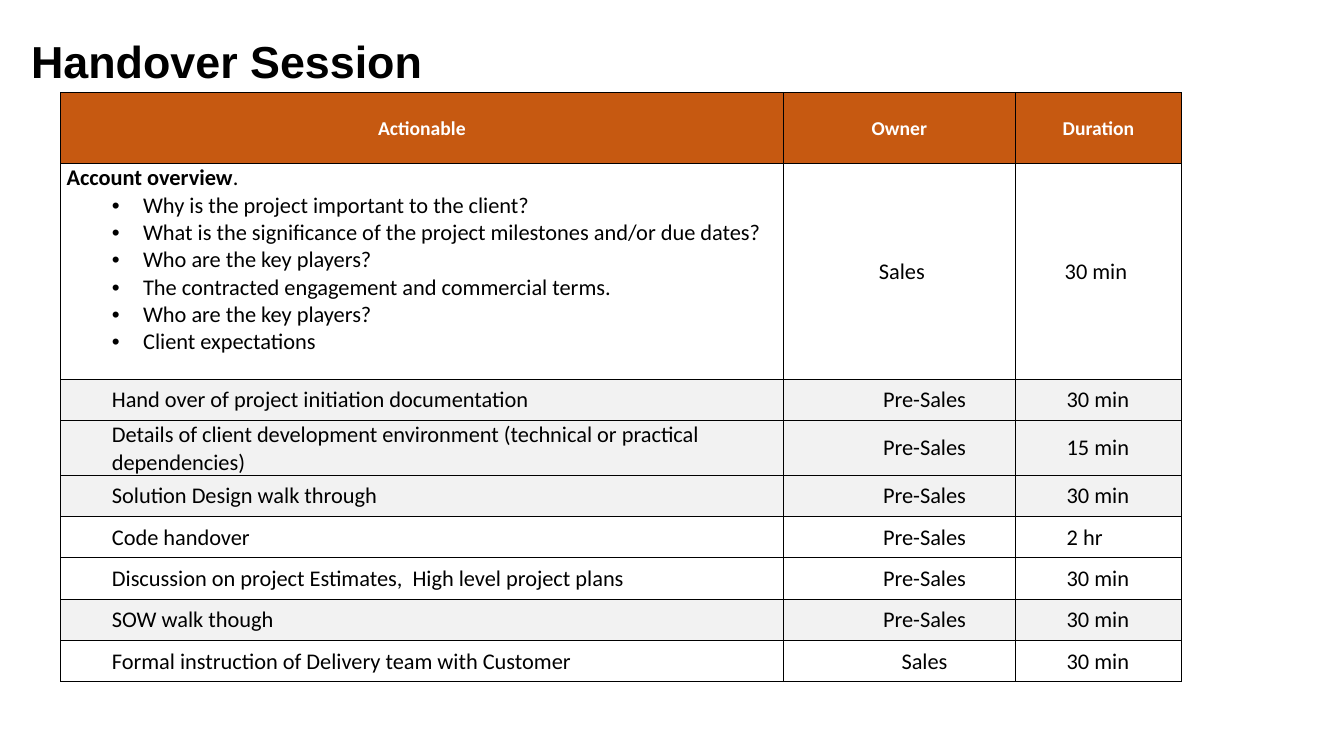
from lxml.etree import SubElement
from pptx import Presentation
from pptx.dml.color import RGBColor
from pptx.enum.text import MSO_ANCHOR, PP_ALIGN
from pptx.oxml.ns import qn
from pptx.util import Pt

PX = 9144
COLORS = {
    "text": "000000",
    "header_text": "FFFFFF",
    "header": "C65911",
    "band": "F2F2F2",
    "border": "000000",
}
COLUMN_WIDTHS = [717, 230, 165]
HEADER_HEIGHT, OVERVIEW_HEIGHT, ROW_HEIGHT, TALL_ROW_HEIGHT = 70, 214, 41, 54
INDENT, BULLET_INDENT, BULLET_HANG = 50, 81, 31

HEADINGS = ["Actionable", "Owner", "Duration"]
OVERVIEW_POINTS = [
    "Why is the project important to the client?",
    "What is the significance of the project milestones and/or due dates?",
    "Who are the key players?",
    "The contracted engagement and commercial terms.",
    "Who are the key players?",
    "Client expectations",
]
ACTIONS = [
    ("Hand over of project initiation documentation", "Pre-Sales", "30 min", "band", ROW_HEIGHT),
    ("Details of client development environment (technical or practical dependencies)",
     "Pre-Sales", "15 min", "band", TALL_ROW_HEIGHT),
    ("Solution Design walk through", "Pre-Sales", "30 min", "band", ROW_HEIGHT),
    ("Code handover", "Pre-Sales", "2 hr", None, ROW_HEIGHT),
    ("Discussion on project Estimates,  High level project plans",
     "Pre-Sales", "30 min", None, ROW_HEIGHT),
    ("SOW walk though", "Pre-Sales", "30 min", "band", ROW_HEIGHT),
    ("Formal instruction of Delivery team with Customer", "Sales", "30 min", None, ROW_HEIGHT),
]


def px(length):
    return length * PX


def write(paragraph, text, size=16, font="Calibri", color="text", bold=False,
          align=PP_ALIGN.LEFT, indent=0, hang=0, bullet=None):
    paragraph.alignment = align
    run = paragraph.add_run()
    run.text = text
    run.font.size = Pt(size)
    run.font.name = font
    run.font.bold = bold
    run.font.color.rgb = RGBColor.from_string(COLORS[color])
    if indent:
        paragraph.level = 1
        properties = paragraph._p.get_or_add_pPr()
        properties.set("marL", str(px(indent)))
        properties.set("indent", str(-px(hang)))
        if bullet:
            SubElement(properties, qn("a:buFont"), typeface="Arial")
            SubElement(properties, qn("a:buChar"), char=bullet)


def format_cell(cell, fill=None, anchor=MSO_ANCHOR.MIDDLE):
    cell.margin_left = cell.margin_right = cell.margin_top = px(1)
    cell.margin_bottom = 0
    cell.vertical_anchor = anchor
    properties = cell._tc.get_or_add_tcPr()
    for side in ("lnL", "lnR", "lnT", "lnB"):
        line = SubElement(properties, qn(f"a:{side}"), w=str(Pt(0.5)))
        solid = SubElement(line, qn("a:solidFill"))
        SubElement(solid, qn("a:srgbClr"), val=COLORS["border"])
    if fill:
        cell.fill.solid()
        cell.fill.fore_color.rgb = RGBColor.from_string(COLORS[fill])
    else:
        cell.fill.background()


def add_title(slide, left, top, width, height):
    box = slide.shapes.add_textbox(px(left), px(top), px(width), px(height))
    box.text_frame.word_wrap = True
    write(box.text_frame.paragraphs[0], "Handover Session", size=32, font="Arial", bold=True)


def fill_header(row):
    for cell, heading in zip(row.cells, HEADINGS):
        format_cell(cell, "header")
        write(cell.text_frame.paragraphs[0], heading, size=14, color="header_text",
              bold=True, align=PP_ALIGN.CENTER)


def fill_overview(row):
    overview, owner, duration = row.cells
    format_cell(overview, anchor=MSO_ANCHOR.TOP)
    frame = overview.text_frame
    write(frame.paragraphs[0], " Account overview", bold=True)
    write(frame.paragraphs[0], ".")
    for point in OVERVIEW_POINTS:
        write(frame.add_paragraph(), point, indent=BULLET_INDENT, hang=BULLET_HANG, bullet="•")
    for cell, text in ((owner, " Sales"), (duration, "30 min ")):
        format_cell(cell)
        write(cell.text_frame.paragraphs[0], text, align=PP_ALIGN.CENTER)


def fill_action(row, texts, fill):
    alignments = (PP_ALIGN.LEFT, PP_ALIGN.CENTER, PP_ALIGN.LEFT)
    for cell, text, align in zip(row.cells, texts, alignments):
        format_cell(cell, fill)
        write(cell.text_frame.paragraphs[0], text, align=align, indent=INDENT)


def add_agenda(slide, left, top):
    heights = [HEADER_HEIGHT, OVERVIEW_HEIGHT] + [action[-1] for action in ACTIONS]
    table = slide.shapes.add_table(
        len(heights), len(COLUMN_WIDTHS), px(left), px(top),
        px(sum(COLUMN_WIDTHS)), px(sum(heights))).table
    table.horz_banding = False
    table.first_row = False
    for column, width in zip(table.columns, COLUMN_WIDTHS):
        column.width = px(width)
    rows = list(table.rows)
    for row, height in zip(rows, heights):
        row.height = px(height)
    fill_header(rows[0])
    fill_overview(rows[1])
    for row, (*texts, fill, height) in zip(rows[2:], ACTIONS):
        fill_action(row, texts, fill)


def main():
    presentation = Presentation()
    presentation.slide_width = px(1333)
    presentation.slide_height = px(750)
    slide = presentation.slides.add_slide(presentation.slide_layouts[6])
    add_title(slide, 21, 29, 1142, 64)
    add_agenda(slide, 60, 92)
    presentation.save("out.pptx")


if __name__ == "__main__":
    main()
